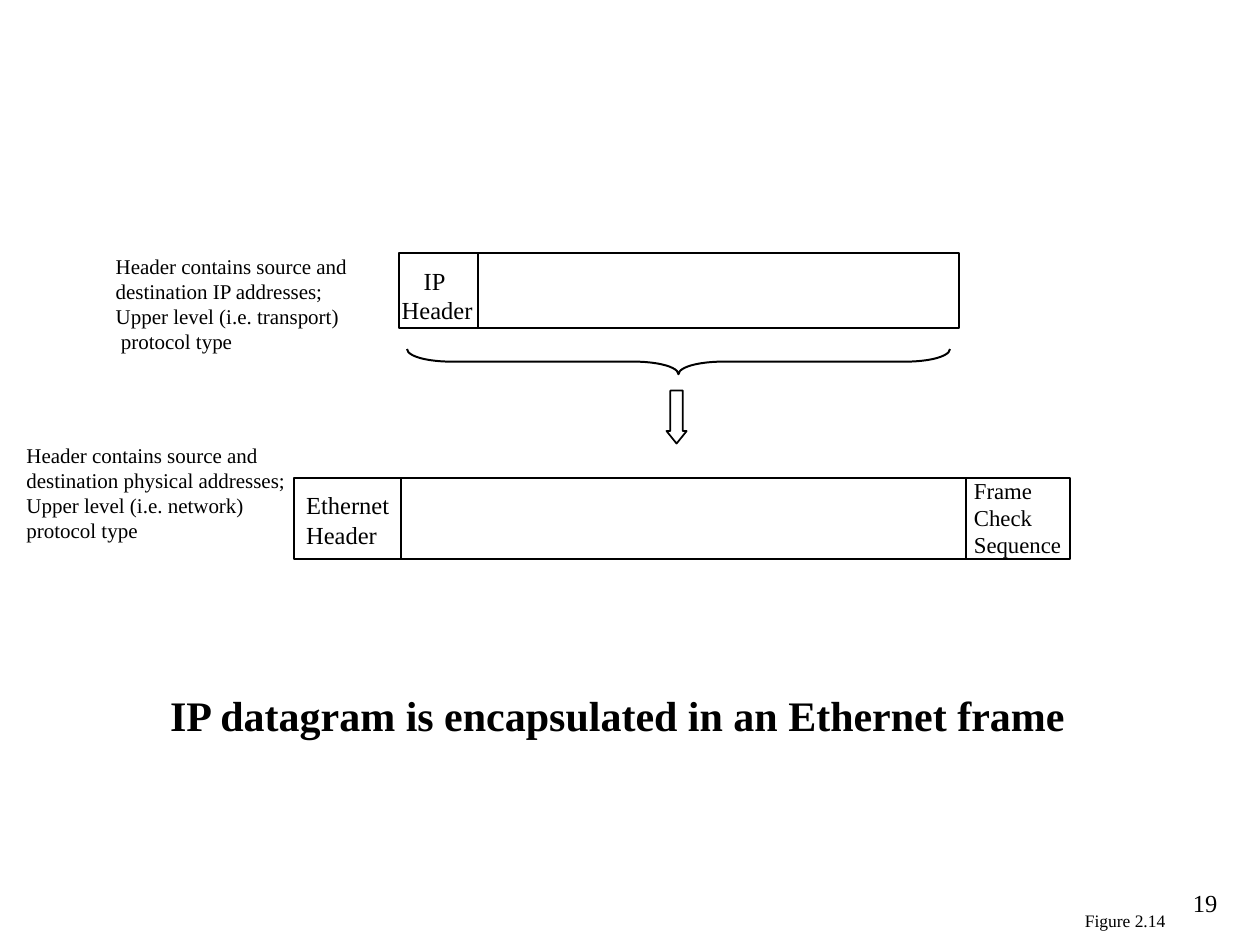
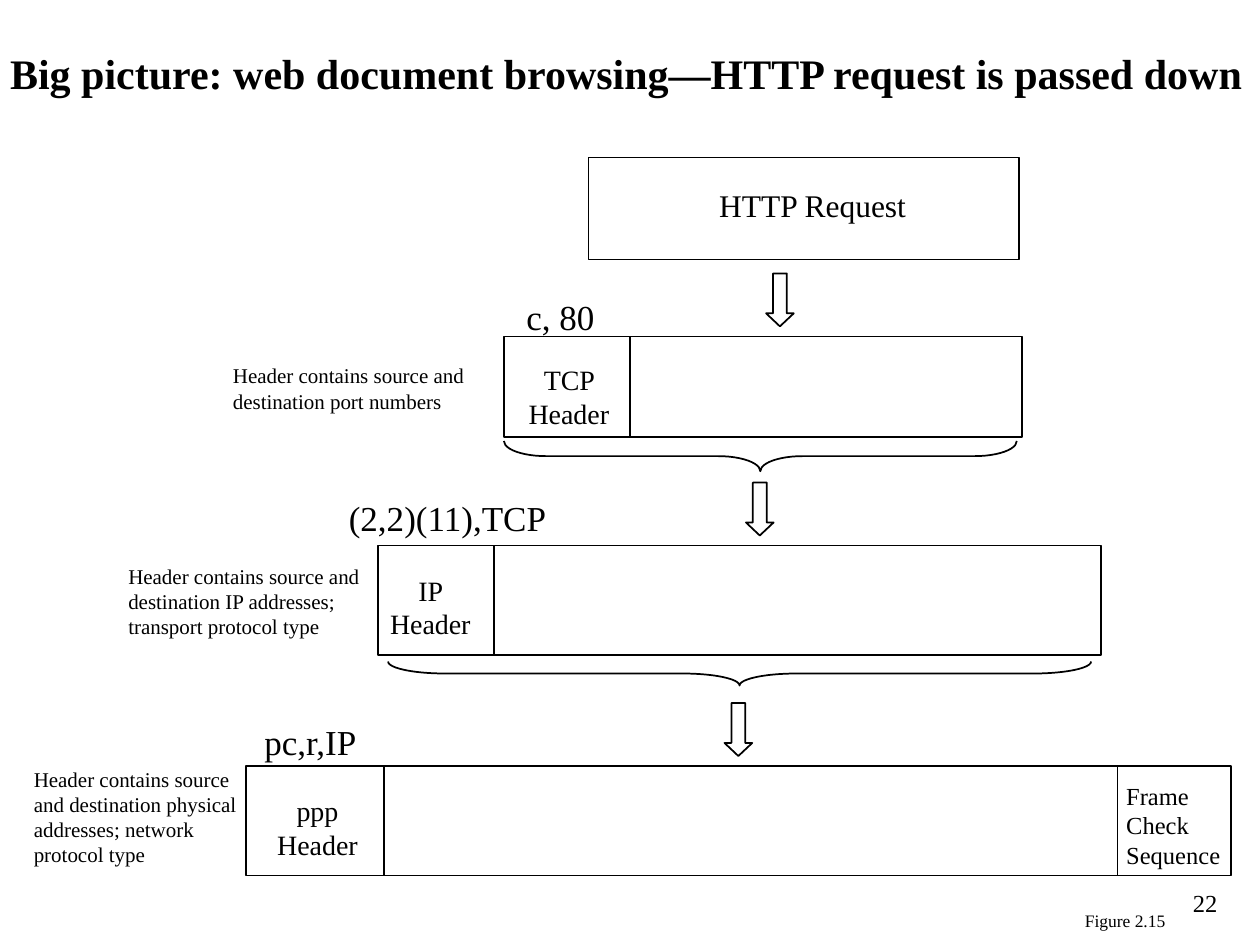
"""Build two slides showing how each protocol layer encapsulates the one above it."""
from lxml.etree import SubElement
from pptx import Presentation
from pptx.dml.color import RGBColor
from pptx.enum.shapes import MSO_CONNECTOR, MSO_SHAPE
from pptx.enum.text import MSO_ANCHOR as Anchor, MSO_AUTO_SIZE, PP_ALIGN as Align
from pptx.oxml.ns import qn
from pptx.util import Emu, Pt

INK = RGBColor(0, 0, 0)
FONT = "Times New Roman"
EMU_PER_PX = 9144
PAGE_SIZE = (1000, 750)
TITLE_ONLY = 5
NUMBER_AREA = (908, 700, 68, 50)
FIGURE_AREA = (851, 717, 84, 27)

TIGHT = dict(inset=(0, 0))
HEADER = dict(size=16, align=Align.CENTER)
NOTE = dict(size=12, anchor=Anchor.MIDDLE)
EXAMPLE = dict(size=20, wrap=False)

SLIDES = [
    dict(
        title="IP datagram is encapsulated in an Ethernet frame",
        title_area=(125, 542, 732, 50),
        number="19",
        figure="Figure 2.14",
        line_width=1.13,
        packets=[
            dict(area=(317, 201, 444, 59), dividers=[379]),
            dict(area=(233, 379, 616, 65), dividers=[318, 767]),
        ],
        braces=[((323, 277, 431, 20), 1.75)],
        arrows=[((529, 310, 16, 42), 0.62, 0.62)],
        labels=[
            ("IP \nHeader", (319, 211, 56, 47), dict(size=14, align=Align.CENTER, wrap=False, **TIGHT)),
            ("Ethernet Header", (243, 389, 70, 47), dict(size=14, **TIGHT)),
            ("Frame Check Sequence", (773, 378, 78, 65), dict(size=13, **TIGHT)),
            ("Header contains source and\ndestination IP addresses;\n"
             "Upper level (i.e. transport)\n protocol type",
             (82, 196, 204, 90), dict(size=12, wrap=False)),
            ("Header contains source and destination physical addresses;\n"
             "Upper level (i.e. network) protocol type",
             (21, 351, 219, 100), dict(size=12, **TIGHT)),
        ],
    ),
    dict(
        title="Big picture: web document browsing—HTTP request is passed down",
        title_area=(-2, 33, 1002, 50),
        number="22",
        figure="Figure 2.15",
        line_width=1,
        packets=[
            dict(area=(467, 125, 342, 81), dividers=[]),
            dict(area=(400, 267, 411, 80), dividers=[500]),
            dict(area=(300, 433, 574, 87), dividers=[392]),
            dict(area=(195, 608, 782, 87), dividers=[305, 887]),
        ],
        braces=[((400, 350, 407, 24), 1.39), ((308, 525, 558, 19), 2.39)],
        arrows=[((left, top, 22, 42), 0.5, 0.47)
                for left, top in [(608, 217), (592, 383), (575, 558)]],
        labels=[
            ("HTTP Request", (561, 143, 169, 40), dict(size=18, wrap=False)),
            ("TCP Header", (400, 283, 103, 63), HEADER),
            ("IP Header", (292, 450, 99, 63), HEADER),
            ("ppp Header", (194, 625, 116, 63), HEADER),
            ("Frame Check Sequence", (884, 615, 100, 80), dict(size=14)),
            ("Header contains source and destination port numbers",
             (175, 283, 215, 50), NOTE),
            ("Header contains source and destination IP addresses; transport protocol type",
             (92, 442, 236, 70), NOTE),
            ("Header contains source and destination physical addresses; network protocol type",
             (17, 603, 190, 90), NOTE),
            ("c, 80", (408, 230, 74, 43), EXAMPLE),
            ("(2,2)(11),TCP", (267, 389, 177, 43), EXAMPLE),
            ("pc,r,IP", (200, 567, 133, 43), EXAMPLE),
        ],
    ),
]


def px(*lengths):
    """Turn px lengths into EMU."""
    return [Emu(round(length * EMU_PER_PX)) for length in lengths]


def write_text(box, text, size, bold=False, align=Align.LEFT,
               anchor=Anchor.TOP, wrap=True, inset=(10, 5)):
    """Fill a box with one paragraph per line of text."""
    frame = box.text_frame
    frame.text = text
    frame.auto_size = MSO_AUTO_SIZE.NONE
    frame.word_wrap = wrap
    frame.vertical_anchor = anchor
    frame.margin_left, frame.margin_top = px(*inset)
    frame.margin_right, frame.margin_bottom = px(*inset)
    for para in frame.paragraphs:
        para.alignment = align
        for span in para.runs:
            span.font.name = FONT
            span.font.size = Pt(size)
            span.font.bold = bold
            span.font.color.rgb = INK


def add_label(page, text, area, **text_format):
    """Add a text box."""
    write_text(page.shapes.add_textbox(*px(*area)), text, **text_format)


def add_outline(page, kind, area, line_width, adjustments=()):
    """Add an unfilled preset shape with a black outline."""
    shape = page.shapes.add_shape(kind, *px(*area))
    shape.shadow.inherit = False
    shape.fill.background()
    shape.line.color.rgb = INK
    shape.line.width = Pt(line_width)
    for index, value in enumerate(adjustments):
        shape.adjustments[index] = value
    return shape


def add_packet(page, area, dividers, line_width):
    """Draw a packet and the lines between its fields."""
    add_outline(page, MSO_SHAPE.RECTANGLE, area, line_width)
    top, height = area[1], area[3]
    for x in dividers:
        divider = page.shapes.add_connector(
            MSO_CONNECTOR.STRAIGHT, *px(x, top, x, top + height))
        divider.line.color.rgb = INK
        divider.line.width = Pt(line_width)
        SubElement(divider.element.spPr, qn("a:effectLst"))


def add_brace(page, area, curl, line_width):
    """Draw a brace pointing down that covers the given area."""
    left, top, width, height = area
    shift = (width - height) / 2
    upright = (left + shift, top - shift, height, width)
    brace = add_outline(page, MSO_SHAPE.LEFT_BRACE, upright, line_width, (curl, 0.5))
    brace.rotation = 270


def build_page(deck, content):
    """Add one slide."""
    page = deck.slides.add_slide(deck.slide_layouts[TITLE_ONLY])
    title = page.shapes.title
    title.left, title.top, title.width, title.height = px(*content["title_area"])
    write_text(title, content["title"], size=24, bold=True, wrap=False)
    line_width = content["line_width"]
    for packet in content["packets"]:
        add_packet(page, **packet, line_width=line_width)
    for area, curl in content["braces"]:
        add_brace(page, area, curl, line_width)
    for area, shaft, head in content["arrows"]:
        add_outline(page, MSO_SHAPE.DOWN_ARROW, area, 1, (shaft, head))
    for text, area, text_format in content["labels"]:
        add_label(page, text, area, **text_format)
    add_label(page, content["figure"], FIGURE_AREA, size=10, wrap=False,
              align=Align.CENTER, anchor=Anchor.MIDDLE)
    add_label(page, content["number"], NUMBER_AREA, size=14, align=Align.RIGHT)


def main():
    """Build and save the deck."""
    deck = Presentation()
    deck.slide_width, deck.slide_height = px(*PAGE_SIZE)
    for content in SLIDES:
        build_page(deck, content)
    deck.save("out.pptx")


if __name__ == "__main__":
    main()
